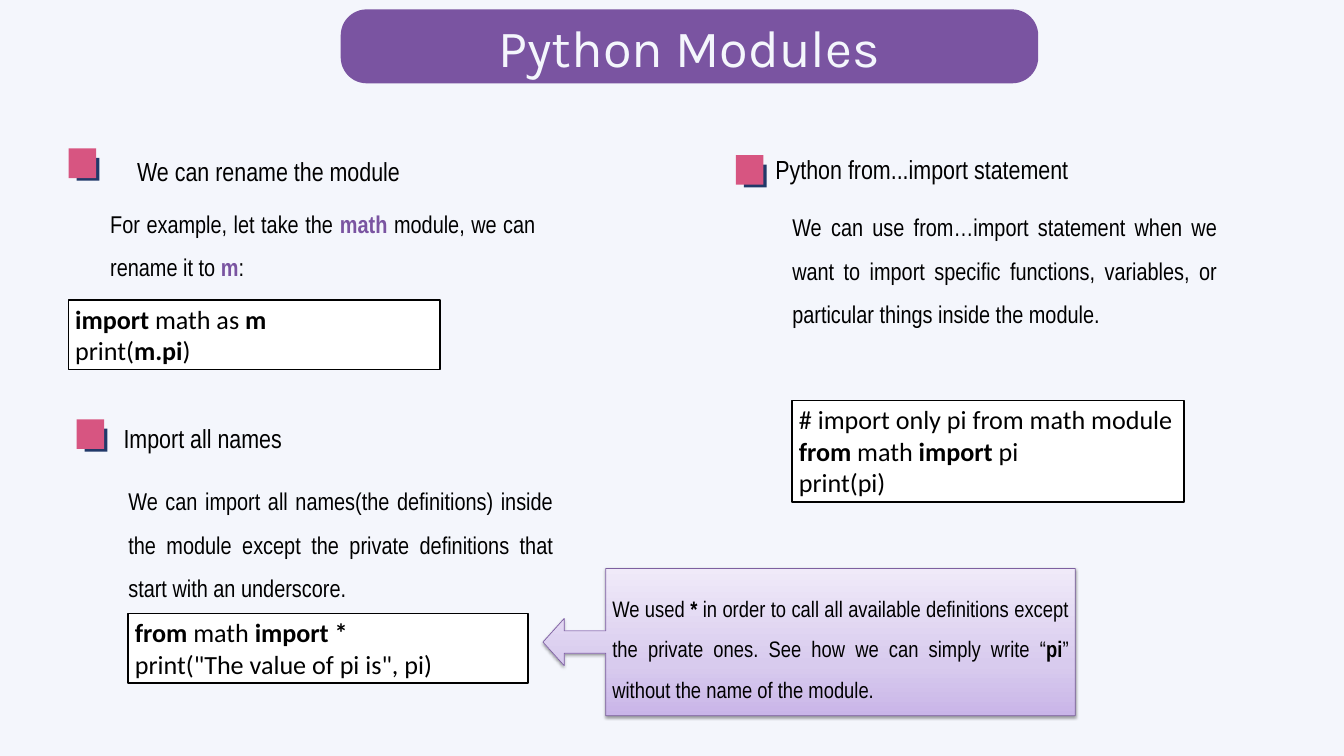
from lxml import etree
from pptx import Presentation
from pptx.dml.color import RGBColor
from pptx.enum.shapes import MSO_SHAPE
from pptx.enum.text import MSO_ANCHOR, MSO_AUTO_SIZE, PP_ALIGN
from pptx.oxml import parse_xml
from pptx.oxml.ns import qn
from pptx.util import Inches, Pt

RECT, ROUNDED = MSO_SHAPE.RECTANGLE, MSO_SHAPE.ROUNDED_RECTANGLE
CALLOUT = MSO_SHAPE.LEFT_ARROW_CALLOUT
LEFT, CENTER, JUSTIFY = PP_ALIGN.LEFT, PP_ALIGN.CENTER, PP_ALIGN.JUSTIFY
TOP, MIDDLE = MSO_ANCHOR.TOP, MSO_ANCHOR.MIDDLE
GROW, FIXED = MSO_AUTO_SIZE.SHAPE_TO_FIT_TEXT, MSO_AUTO_SIZE.NONE

BLACK, WHITE, PAPER = "000000", "FFFFFF", "F4F6FC"
PURPLE, NAVY, PINK = "7A54A1", "213969", "D75581"
A_NS = "http://schemas.openxmlformats.org/drawingml/2006/main"


def rgb(value):
    """Turn a hex string into a colour."""
    return RGBColor.from_string(value)


def write(s, text, size=28, font="Arial Narrow", color=BLACK, accent=None,
          align=LEFT, spacing=None, anchor=TOP, fit=GROW, inset=None):
    """Fill a shape with text, one paragraph a line, bold between | marks."""
    tf = s.text_frame
    tf.word_wrap = True
    tf.auto_size = fit
    tf.vertical_anchor = anchor
    if inset is not None:
        tf.margin_left = tf.margin_right = Inches(inset)
        tf.margin_top = tf.margin_bottom = Inches(inset)
    for i, line in enumerate(text.split("\n")):
        p = tf.add_paragraph() if i else tf.paragraphs[0]
        p.alignment = align
        p.line_spacing = spacing
        for j, part in enumerate(line.split("|")):
            if not part:
                continue
            bold = j % 2 == 1
            r = p.add_run()
            r.text = part
            r.font.name = font
            r.font.size = Pt(size)
            r.font.bold = bold
            r.font.color.rgb = rgb(accent if bold and accent else color)


def add_box(shapes, kind, x, y, w, h, fill, line=None, width=2):
    """Add a flat preset shape, outlined if a line colour is given."""
    s = shapes.add_shape(kind, Inches(x), Inches(y), Inches(w), Inches(h))
    s.shadow.inherit = False
    s.fill.solid()
    s.fill.fore_color.rgb = rgb(fill)
    if line:
        s.line.color.rgb = rgb(line)
        s.line.width = Pt(width)
    else:
        s.line.fill.background()
    return s


def add_text(slide, x, y, w, h, text, **fmt):
    """Add a text box."""
    s = slide.shapes.add_textbox(Inches(x), Inches(y), Inches(w), Inches(h))
    write(s, text, **fmt)


def add_body(slide, x, y, h, text):
    """Add a justified explanation."""
    add_text(slide, x, y, 6.33, h, text, size=26, accent=PURPLE,
             align=JUSTIFY, spacing=1.5, inset=0)


def add_code(slide, x, y, w, h, text):
    """Add an outlined code sample."""
    s = add_box(slide.shapes, RECT, x, y, w, h, WHITE, BLACK)
    write(s, text, font="Calibri")


def add_marker(slide, x, y):
    """Add a pink square over a navy one as a heading marker."""
    group = slide.shapes.add_group_shape()
    add_box(group.shapes, RECT, x + 0.12, y + 0.14, 0.34, 0.34, NAVY)
    add_box(group.shapes, RECT, x, y, 0.41, 0.44, PINK)


def set_gradient(s, stops, angle):
    """Replace the solid fill with a linear gradient of (percent, colour) stops."""
    items = "".join(
        f'<a:gs pos="{pos * 1000}"><a:srgbClr val="{color}"/></a:gs>'
        for pos, color in stops)
    grad = parse_xml(
        f'<a:gradFill xmlns:a="{A_NS}" rotWithShape="1"><a:gsLst>{items}</a:gsLst>'
        f'<a:lin ang="{angle * 60000}" scaled="0"/></a:gradFill>')
    props = s._element.spPr
    props.replace(props.find(qn("a:solidFill")), grad)


def set_shadow(s, color, alpha, blur, distance, angle):
    """Give the shape an outer shadow."""
    effects = s._element.spPr.find(qn("a:effectLst"))
    shadow = etree.SubElement(
        effects, qn("a:outerShdw"), blurRad=str(Pt(blur)), dist=str(Pt(distance)),
        dir=str(angle * 60000), rotWithShape="0")
    clr = etree.SubElement(shadow, qn("a:srgbClr"), val=color)
    etree.SubElement(clr, qn("a:alpha"), val=str(alpha * 1000))


def add_callout(slide, x, y, w, h, text):
    """Add a shaded callout with an arrow to the left."""
    s = add_box(slide.shapes, CALLOUT, x, y, w, h, WHITE, "7D60A0", 0.75)
    for i, value in enumerate((0.152, 0.16, 0.144, 0.882)):
        s.adjustments[i] = value
    set_gradient(s, [(0, "C9B5E8"), (35, "D8CBEE"), (100, "F0EAF9")], 270)
    set_shadow(s, BLACK, 38, 3.1, 1.6, 90)
    write(s, text, size=24, align=JUSTIFY, spacing=1.5, anchor=MIDDLE, fit=FIXED)


def add_title(slide, text):
    """Add the title banner."""
    s = add_box(slide.shapes, ROUNDED, 5.07, 0.14, 10.38, 1.1, PURPLE)
    s.adjustments[0] = 0.351
    write(s, text, size=56, font="Karla", color=PAPER, align=CENTER,
          spacing=Pt(67.2), anchor=MIDDLE, fit=FIXED)


def main():
    """Build the slide and save it."""
    prs = Presentation()
    prs.slide_width, prs.slide_height = Inches(20), Inches(11.25)
    slide = prs.slides.add_slide(prs.slide_layouts[6])
    slide.background.fill.solid()
    slide.background.fill.fore_color.rgb = rgb(PAPER)

    add_title(slide, "Python Modules")

    add_marker(slide, 1.02, 2.21)
    add_text(slide, 0.83, 2.08, 6.33, 0.64, "We can rename the module",
             align=CENTER, spacing=1.5, inset=0)
    add_body(slide, 1.64, 2.89, 1.25,
             "For example, let take the |math| module, we can rename it to |m|:")
    add_code(slide, 1.02, 4.46, 5.53, 1.04,
             "|import| math as |m|\nprint(|m.pi|)")

    add_marker(slide, 10.95, 2.31)
    add_text(slide, 11.44, 2.24, 6.33, 0.57, "Python from...import statement")
    add_body(slide, 11.79, 2.94, 2.56,
             "We can use from…import statement when we want to import specific "
             "functions, variables, or particular things inside the module.")
    add_code(slide, 11.79, 5.96, 5.83, 1.51,
             "# import only pi from math module\n"
             "|from |math |import |pi\nprint(pi)")

    add_marker(slide, 1.14, 6.24)
    add_text(slide, 1.74, 6.24, 4.51, 0.57, "Import all names")
    add_body(slide, 1.91, 7.02, 1.9,
             "We can import all names(the definitions) inside the module except "
             "the private definitions that start with an underscore.")
    add_code(slide, 1.91, 9.13, 5.95, 1.04,
             '|from| math| import *|\nprint("The value of pi is", pi)')
    add_callout(slide, 8.08, 8.46, 7.92, 2.19,
                "We used |*| in order to call all available definitions except "
                "the private ones. See how we can simply write “|pi|” without "
                "the name of the module.")

    prs.save("out.pptx")


if __name__ == "__main__":
    main()
